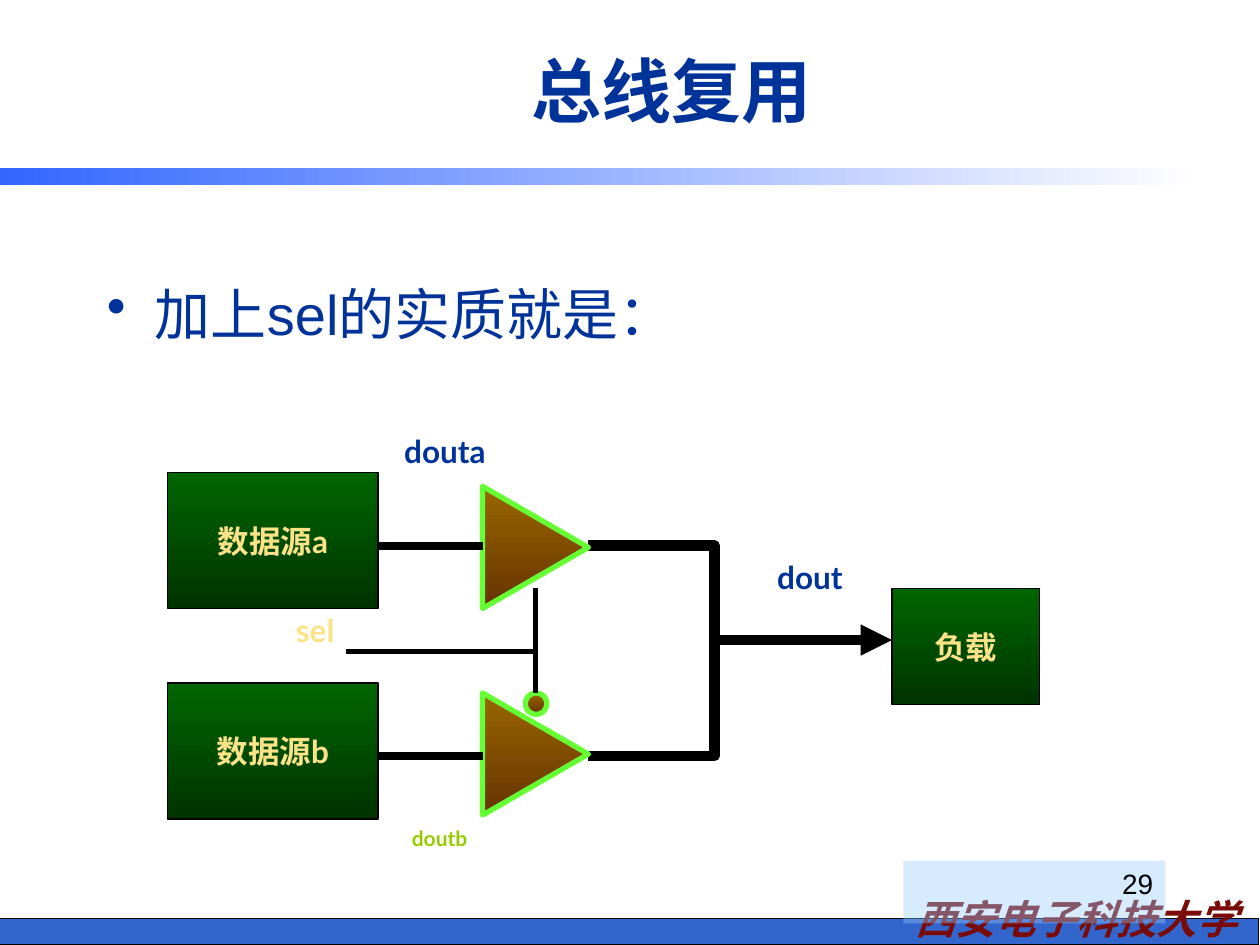
from dataclasses import dataclass

from lxml.etree import SubElement
from pptx import Presentation
from pptx.dml.color import RGBColor
from pptx.enum.shapes import MSO_CONNECTOR, MSO_SHAPE
from pptx.enum.text import MSO_ANCHOR, MSO_AUTO_SIZE, PP_ALIGN
from pptx.oxml.ns import qn
from pptx.util import Inches, Pt

NAVY, CREAM, BLACK = "003399", "FCE388", "000000"
GREEN_FADE = ("006600", "003300")
BROWN_FADE = ("996600", "663300")
GATE_EDGE = "66FF33"
SOURCE_WIDTH, SOURCE_HEIGHT = 1.67, 1.08
GATE_LEFT, GATE_RIGHT, GATE_HEIGHT = 3.83, 4.67, 0.97

Point = tuple[float, float]


@dataclass
class Style:
    size: float
    color: str
    font: str = "Lato"
    bold: bool = True
    italic: bool = False
    align: PP_ALIGN = PP_ALIGN.LEFT


@dataclass
class Block:
    text: str
    left: float
    top: float
    width: float
    height: float


@dataclass
class Label:
    block: Block
    style: Style


BLOCK_STYLE = Style(18, CREAM, align=PP_ALIGN.CENTER)
BLOCKS = [
    Block("数据源a", 1.33, 3.75, SOURCE_WIDTH, SOURCE_HEIGHT),
    Block("数据源b", 1.33, 5.42, SOURCE_WIDTH, SOURCE_HEIGHT),
    Block("负载", 7.08, 4.67, 1.17, 0.92),
]
LABELS = [
    Label(Block("sel", 2.25, 4.8, 0.55, 0.4), Style(18, CREAM)),
    Label(Block("douta", 3.11, 3.38, 0.93, 0.4), Style(18, NAVY)),
    Label(Block("doutb", 3.17, 6.5, 0.69, 0.3), Style(12, "99CC00")),
    Label(Block("dout", 6.07, 4.38, 0.78, 0.4), Style(18, NAVY)),
]


def rgb(value: str) -> RGBColor:
    return RGBColor.from_string(value)


def set_fade(shape, colors: tuple[str, str], angle: float) -> None:
    shape.fill.gradient()
    shape.fill.gradient_angle = angle
    for stop, color in zip(shape.fill.gradient_stops, colors):
        stop.color.rgb = rgb(color)


def set_line(shape, color: str, width: float) -> None:
    shape.line.color.rgb = rgb(color)
    shape.line.width = Pt(width)


def write(shape, text: str, style: Style, anchor=MSO_ANCHOR.TOP, wrap: bool = True):
    frame = shape.text_frame
    frame.word_wrap = wrap
    frame.vertical_anchor = anchor
    para = frame.paragraphs[0]
    para.text = text
    para.alignment = style.align
    para.font.size = Pt(style.size)
    para.font.name = style.font
    para.font.bold = style.bold
    para.font.italic = style.italic
    para.font.color.rgb = rgb(style.color)
    return para


def add_preset(page, preset, left: float, top: float, width: float, height: float):
    shape = page.shapes.add_shape(
        preset, Inches(left), Inches(top), Inches(width), Inches(height))
    shape.shadow.inherit = False
    shape.line.fill.background()
    return shape


def add_text(page, block: Block, style: Style, anchor=MSO_ANCHOR.TOP, wrap: bool = True):
    box = page.shapes.add_textbox(
        Inches(block.left), Inches(block.top), Inches(block.width), Inches(block.height))
    write(box, block.text, style, anchor, wrap)
    return box


def add_outline(page, points: list[Point], color: str, width: float, close: bool = False):
    corners = [(Inches(x), Inches(y)) for x, y in points]
    builder = page.shapes.build_freeform(*corners[0])
    builder.add_line_segments(corners[1:], close=close)
    shape = builder.convert_to_shape()
    shape.shadow.inherit = False
    shape.fill.background()
    set_line(shape, color, width)
    return shape


def add_wire(page, start: Point, end: Point, width: float) -> None:
    ends = [Inches(value) for value in (*start, *end)]
    wire = page.shapes.add_connector(MSO_CONNECTOR.STRAIGHT, *ends)
    set_line(wire, BLACK, width)
    SubElement(wire._element.spPr, qn("a:effectLst"))


def add_block(page, block: Block) -> None:
    shape = add_preset(
        page, MSO_SHAPE.RECTANGLE, block.left, block.top, block.width, block.height)
    set_fade(shape, GREEN_FADE, 270)
    set_line(shape, BLACK, 0.75)
    write(shape, block.text, BLOCK_STYLE, MSO_ANCHOR.MIDDLE, wrap=False)


def add_gate(page, top: float) -> None:
    """Draw a tri-state buffer pointing right."""
    points = [(GATE_LEFT, top), (GATE_LEFT, top + GATE_HEIGHT),
              (GATE_RIGHT, top + GATE_HEIGHT / 2)]
    gate = add_outline(page, points, GATE_EDGE, 3, close=True)
    set_fade(gate, BROWN_FADE, 270)


def add_frame(page) -> None:
    """Draw the bands, the school name and the page number."""
    footer = add_preset(page, MSO_SHAPE.RECTANGLE, -0.01, 7.29, 10, 0.21)
    footer.fill.solid()
    footer.fill.fore_color.rgb = rgb("3366CC")
    set_line(footer, BLACK, 0.75)
    add_text(page, Block("西安电子科技大学", 6.97, 7.05, 3.15, 0.49),
             Style(23, "790C09", "Noto Sans CJK SC", italic=True, align=PP_ALIGN.CENTER))
    band = add_preset(page, MSO_SHAPE.RECTANGLE, 0, 1.33, 9.51, 0.14)
    set_fade(band, ("3366FF", "FFFFFF"), 0)
    number = add_preset(page, MSO_SHAPE.RECTANGLE, 7.17, 6.83, 2.08, 0.5)
    number.fill.solid()
    number.fill.fore_color.rgb = rgb("99CCFF")
    color = number._element.spPr.find(qn("a:solidFill"))[0]
    SubElement(color, qn("a:alpha"), val="39000")
    write(number, "29", Style(16, BLACK, "Arial", bold=False, align=PP_ALIGN.RIGHT))


def add_bullet_text(page) -> None:
    box = page.shapes.add_textbox(Inches(0.75), Inches(2.17), Inches(8.42), Inches(0.75))
    properties = box.text_frame.paragraphs[0]._p.get_or_add_pPr()
    properties.set("marL", str(Inches(0.38)))
    properties.set("indent", str(-Inches(0.38)))
    SubElement(properties, qn("a:buChar"), char="•")
    write(box, "加上sel的实质就是：", Style(32, NAVY, "Arial", bold=False))


def add_circuit(page) -> None:
    for block in BLOCKS:
        add_block(page, block)
    output = add_outline(
        page, [(GATE_RIGHT, 4.33), (5.67, 4.33), (5.67, 5.08), (7.08, 5.08)], BLACK, 6)
    SubElement(output.line._get_or_add_ln(), qn("a:tailEnd"), type="triangle")
    add_outline(page, [(GATE_RIGHT, 6), (5.67, 6), (5.67, 5)], BLACK, 6)
    inverter = add_preset(page, MSO_SHAPE.OVAL, 4.17, 5.5, 0.17, 0.17)
    set_fade(inverter, BROWN_FADE, 270)
    set_line(inverter, GATE_EDGE, 3)
    for top in (3.86, 5.5):
        add_gate(page, top)
    add_outline(page, [(2.75, 5.17), (4.25, 5.17), (4.25, 5.5)], BLACK, 3)
    add_wire(page, (4.25, 5.17), (4.25, 4.67), 3)
    for height in (4.33, 6):
        add_wire(page, (3, height), (GATE_LEFT, height), 4.5)
    for label in LABELS:
        box = add_text(page, label.block, label.style, wrap=False)
        box.text_frame.auto_size = MSO_AUTO_SIZE.SHAPE_TO_FIT_TEXT


def main() -> None:
    deck = Presentation()
    deck.slide_width, deck.slide_height = Inches(10), Inches(7.5)
    page = deck.slides.add_slide(deck.slide_layouts[6])
    add_frame(page)
    add_text(page, Block("总线复用", 1.33, 0.17, 8, 1.08),
             Style(40, NAVY, "Arial", align=PP_ALIGN.CENTER), MSO_ANCHOR.MIDDLE)
    add_bullet_text(page)
    add_circuit(page)
    deck.save("out.pptx")


if __name__ == "__main__":
    main()
